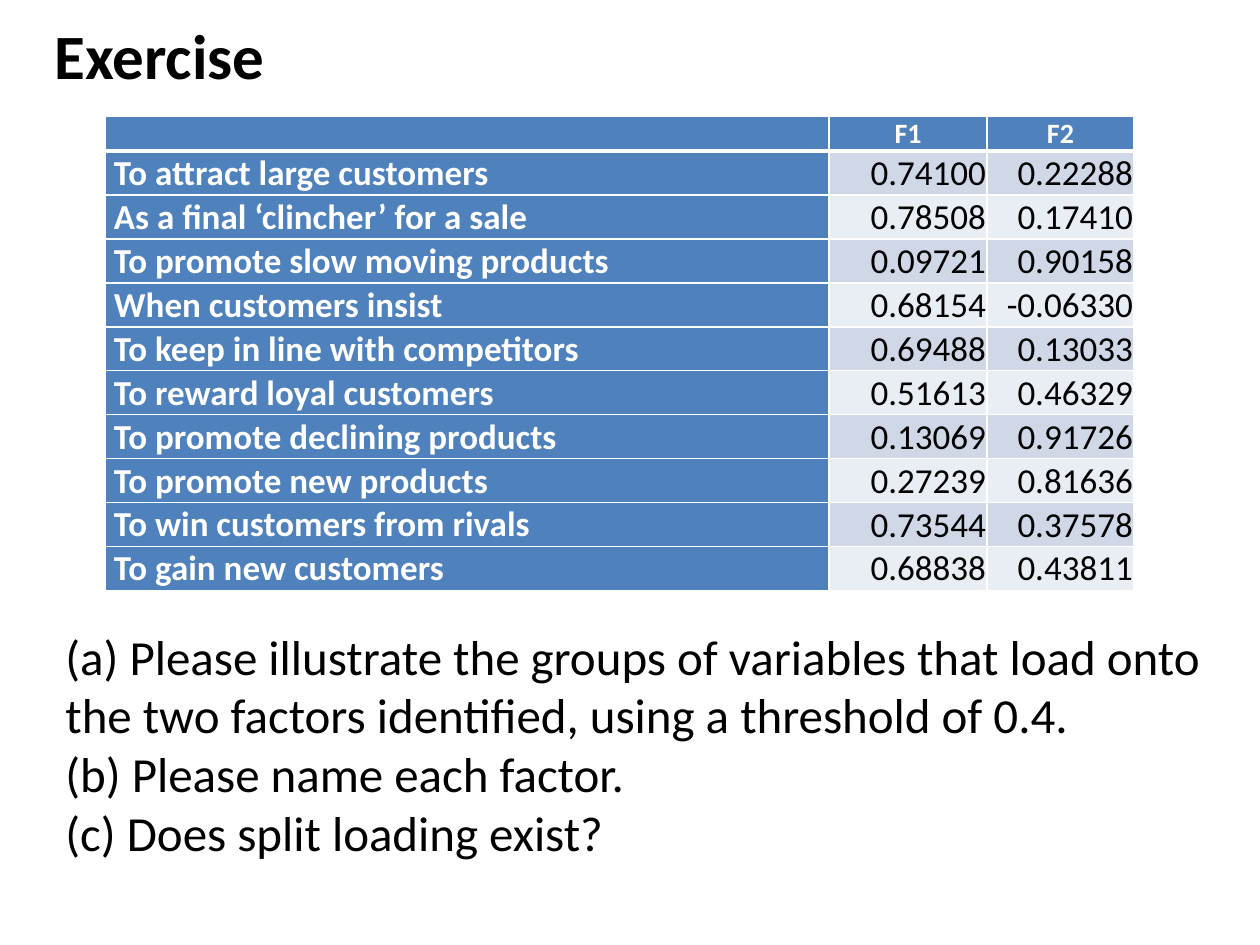
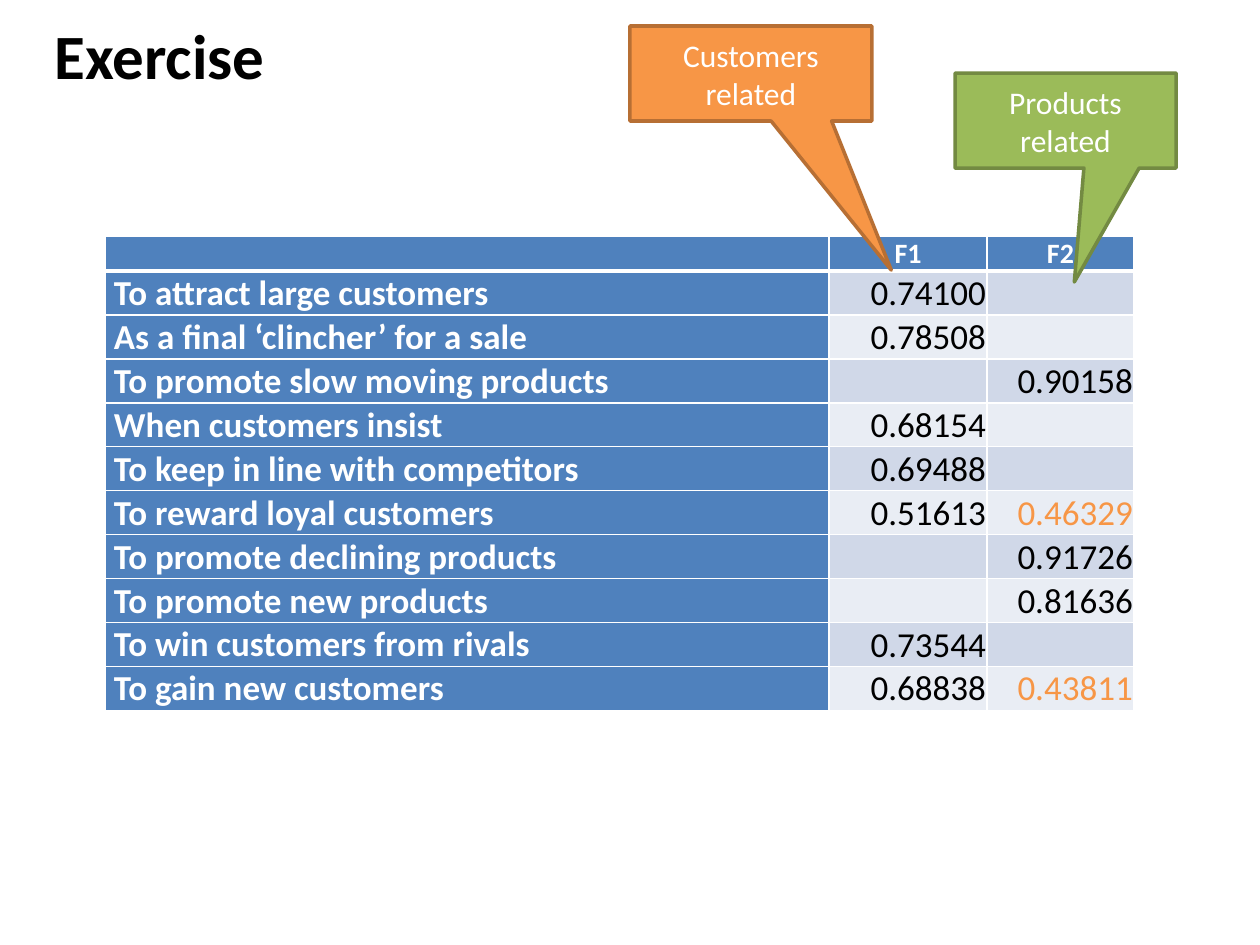
from lxml import etree
from pptx import Presentation
from pptx import util as u
from pptx.dml.color import RGBColor
from pptx.enum import shapes, text
from pptx.oxml.ns import qn

PX_PER_INCH = 126
FONT = "Calibri"
COLORS = {
    "ink": "000000", "paper": "FFFFFF", "head": "4F81BD",
    "band_dark": "D0D8E8", "band_light": "E9EDF4",
    "orange": "F79646", "orange_line": "B76F34",
    "green": "9BBB59", "green_line": "738A42",
}
THRESHOLD = 0.4
COLUMN_WIDTHS = [724, 158, 147]
HEADER_HEIGHT, ROW_HEIGHT = 35, 44
HEADERS = ["", "F1", "F2"]
LOADINGS = [
    ("To attract large customers", "0.74100", "0.22288"),
    ("As a final ‘clincher’ for a sale", "0.78508", "0.17410"),
    ("To promote slow moving products", "0.09721", "0.90158"),
    ("When customers insist", "0.68154", "-0.06330"),
    ("To keep in line with competitors", "0.69488", "0.13033"),
    ("To reward loyal customers", "0.51613", "0.46329"),
    ("To promote declining products", "0.13069", "0.91726"),
    ("To promote new products", "0.27239", "0.81636"),
    ("To win customers from rivals", "0.73544", "0.37578"),
    ("To gain new customers", "0.68838", "0.43811"),
]
QUESTIONS = [
    "(a) Please illustrate the groups of variables that load onto "
    "the two factors identified, using a threshold of 0.4.",
    "(b) Please name each factor.",
    "(c) Does split loading exist?",
]


def px(n):
    return u.Emu(round(n * 914400 / PX_PER_INCH))


def rgb(name):
    return RGBColor.from_string(COLORS[name])


def set_all(target, **values):
    for name, value in values.items():
        setattr(target, name, value)


def write(p, words, size, color="ink", bold=False, align=text.PP_ALIGN.LEFT):
    p.alignment = align
    if not words:
        etree.SubElement(p._p, qn("a:endParaRPr"), sz=str(size * 100))
        return
    r = p.add_run()
    r.text = words
    set_all(r.font, name=FONT, size=u.Pt(size), bold=bold)
    r.font.color.rgb = rgb(color)


def add_text(s, box, lines, size, bold=False):
    tf = s.shapes.add_textbox(*map(px, box)).text_frame
    tf.word_wrap = True
    for i, line in enumerate(lines):
        p = tf.add_paragraph() if i else tf.paragraphs[0]
        write(p, line, size, bold=bold)


def add_border(cell, side, width):
    line = etree.SubElement(cell._tc.get_or_add_tcPr(), qn(f"a:ln{side}"), w=str(u.Pt(width)))
    fill = etree.SubElement(line, qn("a:solidFill"))
    etree.SubElement(fill, qn("a:srgbClr"), val=COLORS["paper"])


def fill_cell(cell, words, row, col, color):
    thick_side = {0: "B", 1: "T"}.get(row)
    for side in "LRTB":
        add_border(cell, side, 3 if side == thick_side else 1)
    is_head = row == 0 or col == 0
    is_label = row > 0 and col == 0
    set_all(cell, margin_left=px(9 if is_label else 1), margin_right=px(1),
            margin_top=px(1), margin_bottom=0,
            vertical_anchor=text.MSO_ANCHOR.MIDDLE if is_label else text.MSO_ANCHOR.BOTTOM)
    cell.fill.solid()
    band = "band_dark" if row % 2 else "band_light"
    cell.fill.fore_color.rgb = rgb("head" if is_head else band)
    if is_label:
        align = text.PP_ALIGN.LEFT
    else:
        align = text.PP_ALIGN.RIGHT if row else text.PP_ALIGN.CENTER
    write(cell.text_frame.paragraphs[0], words, 20 if row else 16,
          "paper" if is_head else color, is_head, align)


def loading_row(label, f1, f2, only_high):
    if not only_high:
        return [(label, "ink"), (f1, "ink"), (f2, "ink")]
    high = [float(value) >= THRESHOLD for value in (f1, f2)]
    return [(label, "ink"), (f1 if high[0] else "", "ink"),
            (f2 if high[1] else "", "orange" if all(high) else "ink")]


def add_loadings_table(s, left, top, only_high=False):
    rows = [[(h, "paper") for h in HEADERS]]
    rows += [loading_row(*loading, only_high) for loading in LOADINGS]
    heights = [HEADER_HEIGHT] + [ROW_HEIGHT] * len(LOADINGS)
    box = left, top, sum(COLUMN_WIDTHS), sum(heights)
    table = s.shapes.add_table(len(rows), len(HEADERS), *map(px, box)).table
    for column, width in zip(table.columns, COLUMN_WIDTHS):
        column.width = px(width)
    for row, height in enumerate(heights):
        table.rows[row].height = px(height)
        for col, (words, color) in enumerate(rows[row]):
            fill_cell(table.cell(row, col), words, row, col, color)


def add_callout(s, box, words, color, tip):
    sp = s.shapes.add_shape(shapes.MSO_SHAPE.RECTANGULAR_CALLOUT, *map(px, box))
    sp.shadow.inherit = False
    for i, offset in enumerate(tip):
        sp.adjustments[i] = offset
    sp.fill.solid()
    sp.fill.fore_color.rgb = rgb(color)
    sp.line.color.rgb = rgb(f"{color}_line")
    sp.line.width = u.Pt(2)
    set_all(sp.text_frame, word_wrap=True, vertical_anchor=text.MSO_ANCHOR.MIDDLE)
    write(sp.text_frame.paragraphs[0], words, 18, "paper", align=text.PP_ALIGN.CENTER)


def add_exercise_slide(prs):
    s = prs.slides.add_slide(prs.slide_layouts[6])
    add_text(s, (42, 10, 1134, 158), ["Exercise"], 36, bold=True)
    return s


def build_question_slide(prs):
    s = add_exercise_slide(prs)
    add_loadings_table(s, 105, 116)
    add_text(s, (53, 620, 1166, 251), QUESTIONS, 28)


def build_answer_slide(prs):
    s = add_exercise_slide(prs)
    add_loadings_table(s, 105, 236, only_high=True)
    add_callout(s, (955, 73, 221, 95), "Products related", "green", (0.04, 1.7))
    add_callout(s, (630, 26, 242, 95), "Customers related", "orange", (0.58, 2.07))


def main():
    prs = Presentation()
    set_all(prs, slide_width=px(1260), slide_height=px(945))
    build_question_slide(prs)
    build_answer_slide(prs)
    prs.save("out.pptx")


if __name__ == "__main__":
    main()
